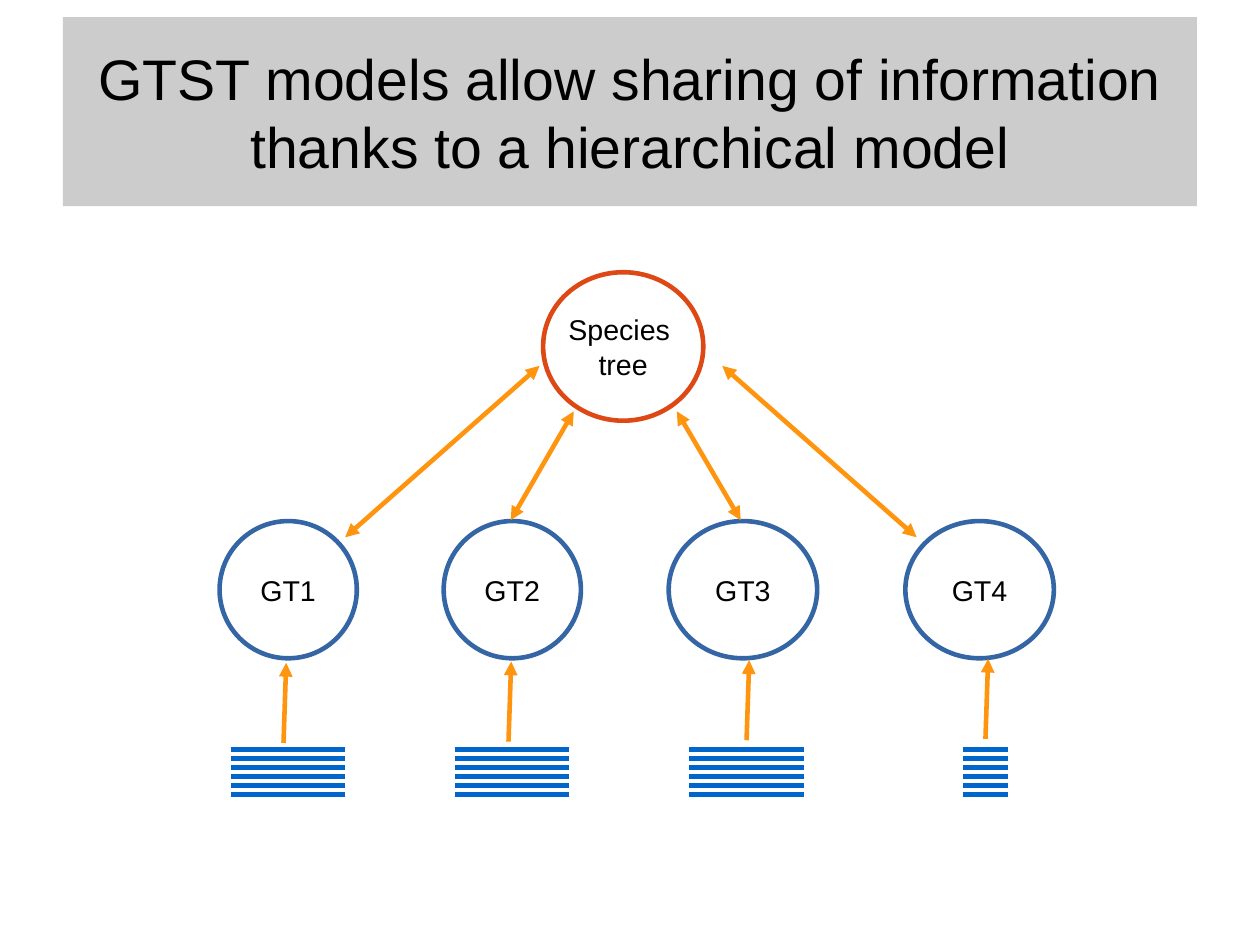
from lxml import etree
from pptx import Presentation
from pptx import util as u
from pptx.dml.color import RGBColor
from pptx.enum import shapes, text
from pptx.oxml.ns import qn

ORANGE, BLUE, RED, NAVY = "FF950E", "0066CC", "DD4814", "3465A4"
LINE_WIDTH = u.Pt(2.9)

# label, circle left and width, centre and width of the alignment,
# arrow foot, (gene tree end, species tree end) of the sharing arrow
GENE_TREES = [
    ("GT1", 4.88, 3.05, 6.4, 2.54, 6.3, ((7.67, 11.94), (11.99, 8.13))),
    ("GT2", 9.86, 3.05, 11.38, 2.54, 11.3, ((11.35, 11.56), (12.75, 9.14))),
    ("GT3", 14.86, 3.3, 16.59, 2.54, 16.59, ((16.46, 11.56), (15.04, 9.14))),
    ("GT4", 20.12, 3.3, 21.9, 1.02, 21.9, ((20.37, 11.94), (16.05, 8.13))),
]


def color(hex_string):
    return RGBColor.from_string(hex_string)


def write(shape, content, size=18, font="Arial", fill="000000", wrap=False,
          margins=(0.3, 0.18)):
    frame = shape.text_frame
    frame.word_wrap = wrap
    frame.vertical_anchor = text.MSO_ANCHOR.MIDDLE
    frame.margin_left = frame.margin_right = u.Cm(margins[0])
    frame.margin_top = frame.margin_bottom = u.Cm(margins[1])
    frame.text = content
    for paragraph in frame.paragraphs:
        paragraph.alignment = text.PP_ALIGN.CENTER
        paragraph.font.size = u.Pt(size)
        paragraph.font.name = font
        paragraph.font.color.rgb = color(fill)


def add_box(slide, kind, box, fill, outline=None):
    shape = slide.shapes.add_shape(kind, *map(u.Cm, box))
    shape.shadow.inherit = False
    shape.fill.solid()
    shape.fill.fore_color.rgb = color(fill)
    if outline:
        shape.line.color.rgb = color(outline)
        shape.line.width = LINE_WIDTH
    else:
        shape.line.fill.background()
    return shape


def add_line(slide, start, end, stroke, heads=()):
    """Draw a line; heads may hold headEnd (start) and tailEnd (end)."""
    line = slide.shapes.add_connector(
        shapes.MSO_CONNECTOR.STRAIGHT, *map(u.Cm, (*start, *end)))
    line.line.color.rgb = color(stroke)
    line.line.width = LINE_WIDTH
    for head in heads:
        etree.SubElement(line.line._get_or_add_ln(), qn(f"a:{head}"),
                         type="triangle")
    etree.SubElement(line._element.spPr, qn("a:effectLst"))


def add_title(slide, box):
    title = add_box(slide, shapes.MSO_SHAPE.RECTANGLE, box, "CCCCCC")
    write(title, "GTST models allow sharing of information "
          "thanks to a hierarchical model", size=36, wrap=True, margins=(0, 0))


def add_tree(slide, box, label, outline):
    circle = add_box(slide, shapes.MSO_SHAPE.OVAL, box, "FFFFFF", outline)
    write(circle, label)


def add_alignment(slide, left, top, width, rows=6, pitch=0.2):
    """Draw the stack of aligned sequences."""
    for row in range(rows):
        y = top + row * pitch
        add_line(slide, (left, y), (left + width, y), BLUE)


def add_hierarchy(slide, left, top):
    """Place the species tree, the gene trees below it and their data."""
    add_tree(slide, (left + 7.19, top, 3.56, 3.3), "Species \ntree", RED)
    for i, (label, x, width, centre, span, foot, sharing) in enumerate(GENE_TREES):
        add_tree(slide, (x, top + 5.53, width, 3.05), label, NAVY)
        add_alignment(slide, centre - span / 2, top + 10.61, span)
        add_line(slide, *sharing, ORANGE, ("headEnd", "tailEnd"))
        foot_y = top + 10.46 - 0.03 * i
        add_line(slide, (foot, foot_y), (foot + 0.06, foot_y - 1.78),
                 ORANGE, ("tailEnd",))


def main():
    deck = Presentation()
    deck.slide_width, deck.slide_height = u.Cm(28), u.Cm(21)
    slide = deck.slides.add_slide(deck.slide_layouts[6])
    add_title(slide, (1.4, 0.38, 25.2, 4.2))
    add_hierarchy(slide, 4.88, 6.05)
    deck.save("out.pptx")


if __name__ == "__main__":
    main()
